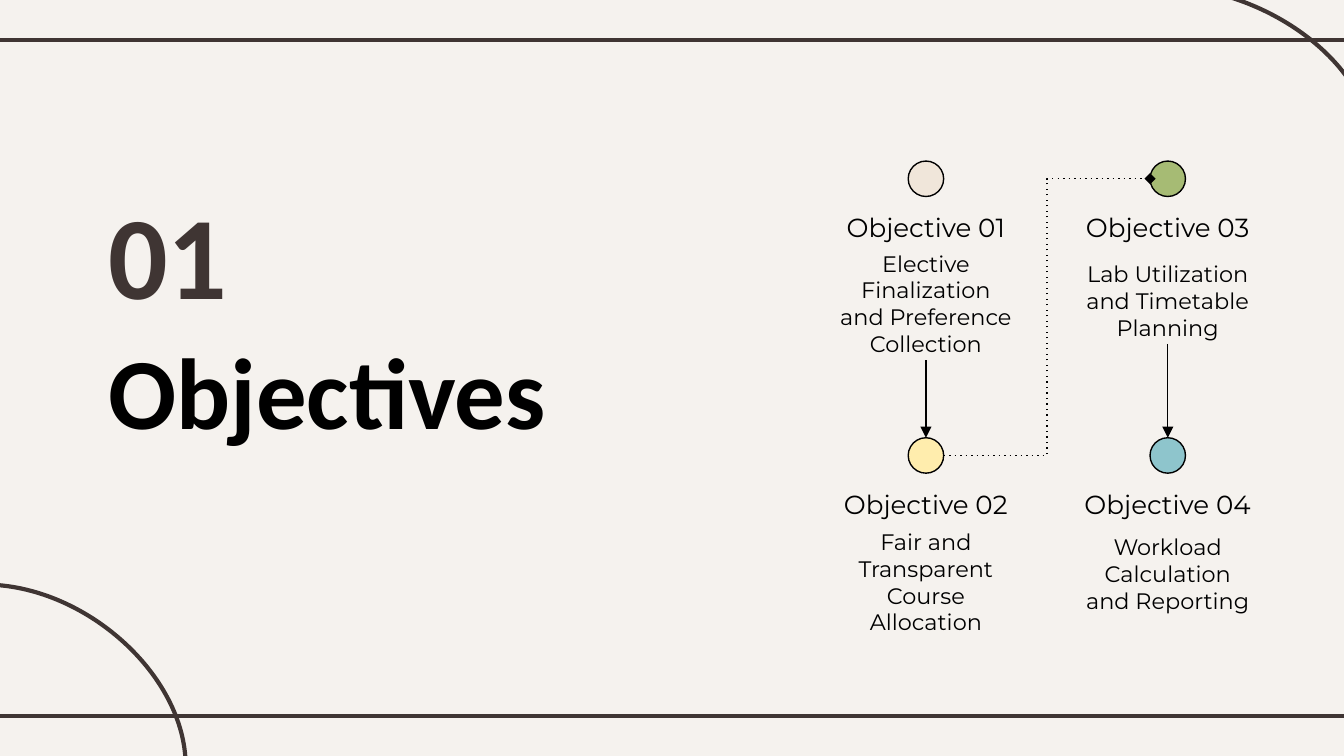
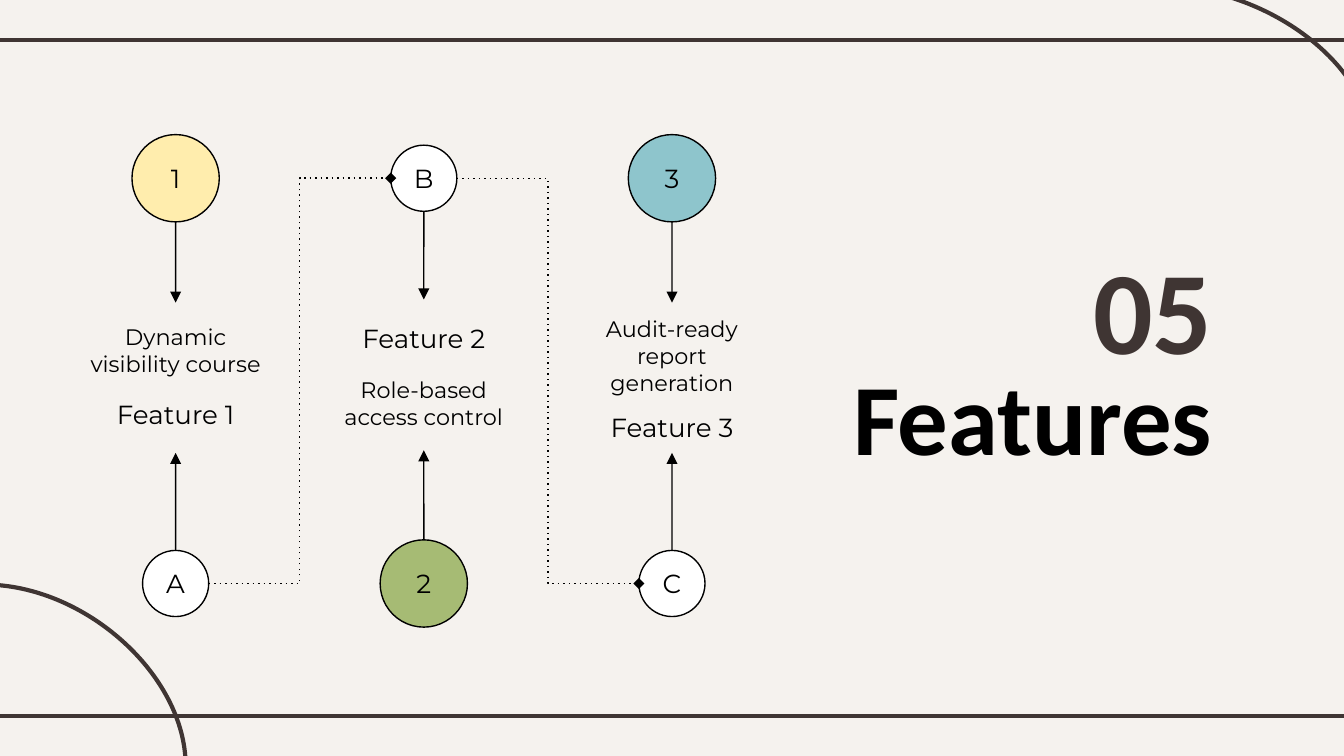
"""Build the Objectives and Features slides."""
from dataclasses import dataclass

from lxml.etree import SubElement
from pptx import Presentation
from pptx.dml.color import RGBColor
from pptx.enum.shapes import MSO_CONNECTOR, MSO_SHAPE
from pptx.enum.text import MSO_ANCHOR, PP_ALIGN
from pptx.oxml.ns import qn
from pptx.util import Cm, Pt


@dataclass(frozen=True)
class Theme:
    paper: str = "F5F2EE"
    brown: str = "3F3533"
    ink: str = "000000"
    white: str = "FFFFFF"
    cream: str = "F0E6DA"
    yellow: str = "FFEDAD"
    green: str = "A6BB74"
    blue: str = "8EC5CC"
    title_font: str = "Calibri"
    body_font: str = "Montserrat"
    number_size: float = 63
    title_size: float = 54
    label_size: float = 14
    body_size: float = 12
    rule_width: float = 2.25
    thin_width: float = 0.75


T = Theme()

WIDTH, HEIGHT = 25.4, 14.29
RULES = [0.76, 13.54]
CORNER_CURVES = [(-0.3, 11.05, 3.51, 14.48), (21.97, -0.25, 25.91, 2.72)]

OBJECTIVES = [
    [
        ("Objective 01", "Elective Finalization and Preference Collection", T.cream, 4.47, 2.34),
        ("Objective 02", "Fair and Transparent Course Allocation", T.yellow, 9.73, 1.5),
    ],
    [
        ("Objective 03", "Lab Utilization and Timetable Planning", T.green, 4.67, 1.83),
        ("Objective 04", "Workload Calculation and Reporting", T.blue, 9.83, 1.83),
    ],
]
OBJECTIVE_X, OBJECTIVE_PITCH = 17.5, 4.57
OBJECTIVE_ROWS = [3.38, 8.61]
DOT = 0.67

BIG, SMALL = 1.65, 1.25
FEATURES = [
    {
        "circles": [("1", T.yellow, BIG), ("A", T.white, SMALL)],
        "texts": [("Dynamic visibility course", T.body_size, 5.72, 1.65),
                  ("Feature 1", T.label_size, 7.29, 1.27)],
    },
    {
        "circles": [("B", T.white, SMALL), ("2", T.green, BIG)],
        "texts": [("Feature 2", T.label_size, 5.66, 1.27),
                  ("Role-based access control", T.body_size, 6.86, 1.65)],
    },
    {
        "circles": [("3", T.blue, BIG), ("C", T.white, SMALL)],
        "texts": [("Audit-ready report generation", T.body_size, 5.72, 2.01),
                  ("Feature 3", T.label_size, 7.52, 1.04)],
    },
]
FEATURE_X, FEATURE_PITCH = 3.32, 4.69
FEATURE_ROWS = [3.37, 11.03]


def write(sp, text, size, color=T.ink, font=T.body_font, bold=False,
          align=PP_ALIGN.CENTER, anchor=MSO_ANCHOR.TOP):
    tf = sp.text_frame
    tf.word_wrap = True
    tf.vertical_anchor = anchor
    tf.margin_left = tf.margin_right = tf.margin_top = tf.margin_bottom = Cm(0.25)
    p = tf.paragraphs[0]
    p.text = text
    p.alignment = align
    p.font.name = font
    p.font.size = Pt(size)
    p.font.bold = bold
    p.font.color.rgb = RGBColor.from_string(color)


def add_text(s, x, y, w, h, text, size, **style):
    sp = s.shapes.add_textbox(Cm(x), Cm(y), Cm(w), Cm(h))
    write(sp, text, size, **style)
    return sp


def add_circle(s, cx, cy, d, fill, text=None):
    sp = s.shapes.add_shape(MSO_SHAPE.OVAL, Cm(cx - d / 2), Cm(cy - d / 2), Cm(d), Cm(d))
    sp.shadow.inherit = False
    sp.fill.solid()
    sp.fill.fore_color.rgb = RGBColor.from_string(fill)
    sp.line.color.rgb = RGBColor.from_string(T.ink)
    sp.line.width = Pt(T.thin_width)
    if text:
        write(sp, text, T.label_size, anchor=MSO_ANCHOR.MIDDLE)


def add_line(s, x1, y1, x2, y2, kind=MSO_CONNECTOR.STRAIGHT, color=T.ink,
             width=T.thin_width, dash=None, tail=None):
    c = s.shapes.add_connector(kind, Cm(x1), Cm(y1), Cm(x2), Cm(y2))
    c.line.color.rgb = RGBColor.from_string(color)
    c.line.width = Pt(width)
    sp_pr = c.element.spPr
    ln = sp_pr.find(qn("a:ln"))
    if dash:
        SubElement(ln, qn("a:prstDash")).set("val", dash)
    if tail:
        SubElement(ln, qn("a:tailEnd")).set("type", tail)
    SubElement(sp_pr, qn("a:effectLst"))
    return c


def add_dotted_link(s, x1, y1, x2, y2):
    add_line(s, x1, y1, x2, y2, MSO_CONNECTOR.ELBOW, dash="dot", tail="diamond")


def new_slide(prs, number, title, x, top, gap, align):
    s = prs.slides.add_slide(prs.slide_layouts[6])
    s.background.fill.solid()
    s.background.fill.fore_color.rgb = RGBColor.from_string(T.paper)
    for y in RULES:
        add_line(s, WIDTH + 0.4, y, 0, y, color=T.brown, width=T.rule_width)
    for ends in CORNER_CURVES:
        c = add_line(s, *ends, MSO_CONNECTOR.CURVE, T.brown, T.rule_width)
        c.element.spPr.find(qn("a:prstGeom")).set("prst", "curvedConnector2")
    for text, size, color, y, w, h in [
        (title, T.title_size, T.ink, top + gap, 13.79, 3.1),
        (number, T.number_size, T.brown, top, 4.57, 2.72),
    ]:
        left = x - w if align == PP_ALIGN.RIGHT else x
        add_text(s, left, y, w, h, text, size, color=color,
                 font=T.title_font, bold=True, align=align)
    return s


def objectives_slide(prs):
    s = new_slide(prs, "01", "Objectives", 1.8, 3.18, 2.79, PP_ALIGN.LEFT)
    w = 3.81
    upper, lower = OBJECTIVE_ROWS
    for i, column in enumerate(OBJECTIVES):
        cx = OBJECTIVE_X + i * OBJECTIVE_PITCH
        boxes = []
        for cy, (label, text, fill, top, h) in zip(OBJECTIVE_ROWS, column):
            add_circle(s, cx, cy, DOT, fill)
            add_text(s, cx - w / 2, cy + 0.55, w, 0.91, label, T.label_size,
                     anchor=MSO_ANCHOR.BOTTOM)
            boxes.append(add_text(s, cx - w / 2, top, w, h, text, T.body_size))
        arrow = add_line(s, cx, upper, cx, lower - DOT / 2, tail="triangle")
        arrow.begin_connect(boxes[0], 2)
    add_dotted_link(s, OBJECTIVE_X + DOT / 2, lower,
                    OBJECTIVE_X + OBJECTIVE_PITCH - DOT / 2, upper)


def features_slide(prs):
    s = new_slide(prs, "05", "Features", 23.16, 4.22, 2.23, PP_ALIGN.RIGHT)
    w = 4.06
    upper, lower = FEATURE_ROWS
    sides = [(upper, 1, MSO_ANCHOR.BOTTOM, 0), (lower, -1, MSO_ANCHOR.TOP, 2)]
    for i, feature in enumerate(FEATURES):
        cx = FEATURE_X + i * FEATURE_PITCH
        for (cy, inward, anchor, site), circle, entry in zip(
                sides, feature["circles"], feature["texts"]):
            mark, fill, d = circle
            text, size, top, h = entry
            box = add_text(s, cx - w / 2, top, w, h, text, size, anchor=anchor)
            add_circle(s, cx, cy, d, fill, mark)
            edge = cy + inward * d / 2
            add_line(s, cx, edge, cx, top, tail="triangle").end_connect(box, site)
    for i, (start, end) in enumerate([(lower, upper), (upper, lower)]):
        x = FEATURE_X + i * FEATURE_PITCH
        add_dotted_link(s, x + SMALL / 2, start, x + FEATURE_PITCH - SMALL / 2, end)


def main():
    prs = Presentation()
    prs.slide_width, prs.slide_height = Cm(WIDTH), Cm(HEIGHT)
    objectives_slide(prs)
    features_slide(prs)
    prs.save("out.pptx")


if __name__ == "__main__":
    main()
